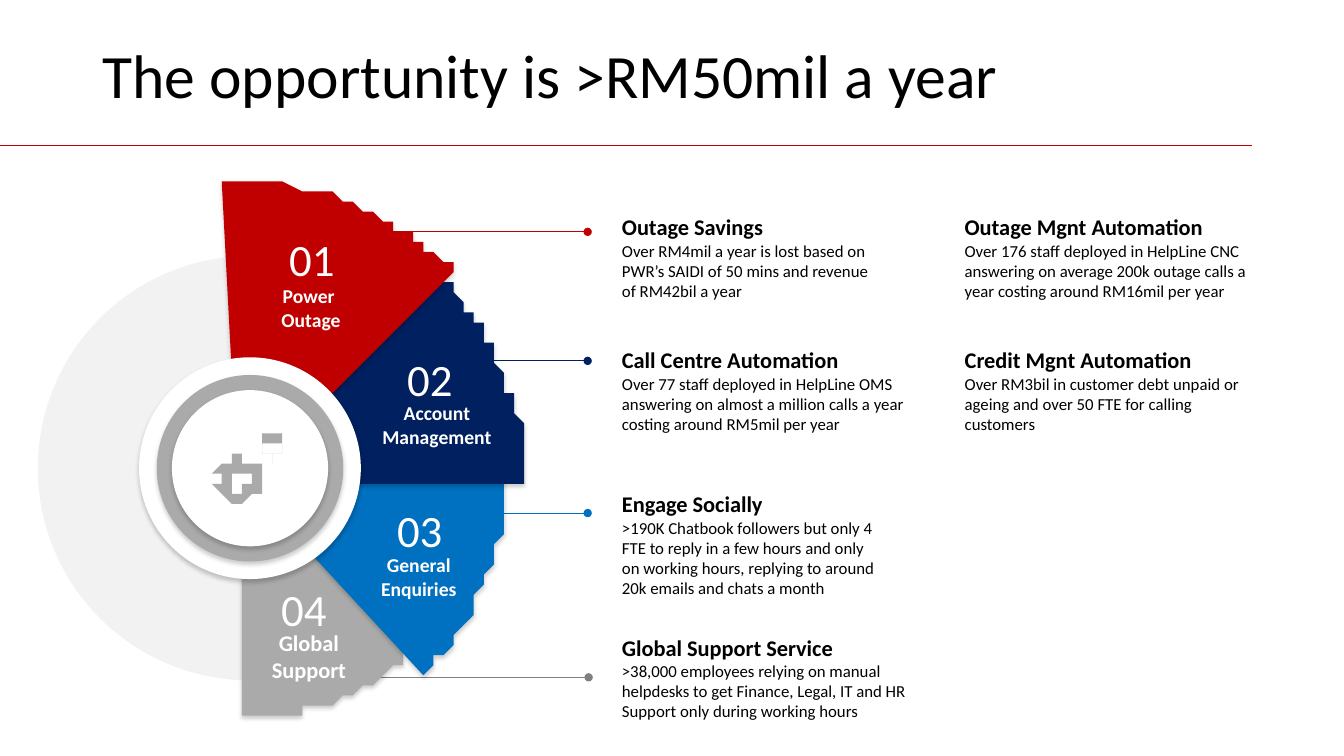
from dataclasses import dataclass
from math import cos, pi, sin

from lxml.etree import SubElement
from pptx import Presentation
from pptx.dml.color import RGBColor
from pptx.enum.shapes import MSO_CONNECTOR as Link, MSO_SHAPE as Shape
from pptx.enum.text import MSO_ANCHOR as Anchor, MSO_AUTO_SIZE as Auto, PP_ALIGN as Align
from pptx.oxml.ns import qn
from pptx.util import Emu, Inches, Pt

Point = tuple[float, float]
Box = tuple[float, float, float, float]

# All lengths count cells of a square grid: 133.33 columns by 75 rows.
CELL = Inches(0.1)
COLS, ROWS = 133.33, 75
FONT = "Calibri"
RED, NAVY, BLUE, GREY = "C00000", "002060", "0070C0", "AAAAAA"
WHITE, BLACK, PALE = "FFFFFF", "000000", "F2F2F2"
HUB = (24.8, 46.45)
LABEL = 11.3


@dataclass
class Wedge:
    """A fan blade; its rim bends from the last corner back to the first."""
    color: str
    corners: list[Point]
    bend: Point
    lead: tuple[float, float, float]
    tint: str
    num: str
    num_at: Point
    name: str
    name_at: Point
    size: int = 14


@dataclass
class Note:
    box: Box
    head: str
    body: str


WEDGES = [
    Wedge(GREY, [(40.5, 65.2), (38.6, 59), (33.5, 55.1), (29.8, 54.1), (24.4, 55.5), (24.4, 71.1)],
          (33.4, 71.6), (35.9, 58.4, 67.2), "808080",
          "04", (24.5, 57.7), "Global\nSupport", (25, 62.4), 16),
    Wedge(BLUE, [(41.8, 66.8), (29.8, 54.2), (34, 48), (50.5, 46.6), (50.4, 48)],
          (50, 59.5), (46.6, 58.3, 50.9), BLUE,
          "03", (36, 49.9), "General\nEnquiries", (35.9, 54.9)),
    Wedge(NAVY, [(52.1, 48), (34, 48), (31.1, 40), (42.7, 26.7), (43.8, 27.6)],
          (52.1, 35.4), (47.2, 58.3, 35.8), NAVY,
          "02", (37, 34.9), "Account Management", (37.7, 39.8)),
    Wedge(RED, [(22.4, 17.9), (22.8, 37.4), (31.6, 40.2), (44.7, 26.6)],
          (36, 17.5), (30.2, 58.3, 23), RED,
          "01", (25.3, 23), "Power \nOutage", (25.2, 28.2)),
]

LEFT, RIGHT = 61.7, 95.7
NOTES = [
    Note((LEFT, 21.1, 25.1, 8.8), "Outage Savings",
         "Over RM4mil a year is lost based on PWR’s SAIDI of 50 mins and revenue of RM42bil a year"),
    Note((RIGHT, 21.1, 28.4, 8.8), "Outage Mgnt Automation",
         "Over 176 staff deployed in HelpLine CNC answering on average 200k outage calls a year "
         "costing around RM16mil per year"),
    Note((LEFT, 34.3, 28.4, 8.8), "Call Centre Automation",
         "Over 77 staff deployed in HelpLine OMS answering on almost a million calls a year "
         "costing around RM5mil per year"),
    Note((RIGHT, 34.3, 29.9, 8.8), "Credit Mgnt Automation",
         "Over RM3bil in customer debt unpaid or ageing and over 50 FTE for calling customers"),
    Note((LEFT, 48.6, 25.1, 10.8), "Engage Socially",
         ">190K Chatbook followers but only 4 FTE to reply in a few hours and only on working hours, "
         "replying to around 20k emails and chats a month"),
    Note((LEFT, 62.8, 28.4, 8.8), "Global Support Service",
         ">38,000 employees relying on manual helpdesks to get Finance, Legal, IT and HR Support "
         "only during working hours"),
]


def grid(cells: float) -> Emu:
    return Emu(round(cells * CELL))


def rgb(color: str) -> RGBColor:
    return RGBColor.from_string(color)


def paint(shape, color: str, shade: bool = False) -> None:
    """Fill without outline, with a soft drop shadow if asked."""
    shape.fill.solid()
    shape.fill.fore_color.rgb = rgb(color)
    shape.line.fill.background()
    shape.shadow.inherit = False
    if shade:
        fx = shape._element.spPr.find(qn("a:effectLst"))
        drop = SubElement(fx, qn("a:outerShdw"), blurRad=str(Pt(3)), dist=str(Pt(2)),
                          dir="5400000", algn="t", rotWithShape="0")
        tone = SubElement(drop, qn("a:srgbClr"), val=BLACK)
        SubElement(tone, qn("a:alpha"), val="20000")


def disc(slide, mid: Point, size: float, color: str, shade: bool = True) -> None:
    x, y = mid
    shape = slide.shapes.add_shape(Shape.OVAL, grid(x - size / 2), grid(y - size / 2),
                                   grid(size), grid(size))
    paint(shape, color, shade)


def outline(slide, rings: list[list[Point]], color: str, shade: bool = False) -> None:
    """Draw one shape of closed rings; later rings cut holes."""
    pen = slide.shapes.build_freeform(*rings[0][0], scale=CELL)
    pen.add_line_segments(rings[0][1:])
    for ring in rings[1:]:
        pen.move_to(*ring[0])
        pen.add_line_segments(ring[1:])
    paint(pen.convert_to_shape(), color, shade)


def rim(start: Point, bend: Point, end: Point, steps: int = 32) -> list[Point]:
    """Points on the cubic curve whose first handle lies on its start."""
    def mix(t: float, a: float, b: float, c: float) -> float:
        u = 1 - t
        return a * (u ** 3 + 3 * u * u * t) + b * 3 * u * t * t + c * t ** 3
    return [tuple(mix(i / steps, *axis) for axis in zip(start, bend, end))
            for i in range(1, steps + 1)]


def gear(slide, mid: Point, size: float) -> None:
    def polar(share: float, deg: float) -> Point:
        turn = deg * pi / 180
        return mid[0] + size * share * sin(turn), mid[1] - size * share * cos(turn)
    tooth = [(0.82, -20), (1, -15), (1, 15), (0.82, 20)]
    teeth = [polar(share, 60 * k + deg) for k in range(6) for share, deg in tooth]
    hole = [polar(0.4, -10 * k) for k in range(37)]
    outline(slide, [teeth + teeth[:1], hole], GREY)


def rule(slide, x1: float, x2: float, y: float, color: str, dots: bool = False) -> None:
    line = slide.shapes.add_connector(Link.STRAIGHT, grid(x1), grid(y), grid(x2), grid(y))
    line.line.color.rgb = rgb(color)
    line.line.width = Pt(0.5)
    if dots:
        for end in ("headEnd", "tailEnd"):
            SubElement(line.line._get_or_add_ln(), qn(f"a:{end}"), type="oval")
    SubElement(line._element.spPr, qn("a:effectLst"))


def write(slide, box: Box, text: str, sizes: list[int], color: str, bolds: list[bool],
          align: Align = Align.LEFT, tight: bool = True):
    """Add text; sizes and bolds go by paragraph, the last one repeating."""
    frame = slide.shapes.add_textbox(*map(grid, box)).text_frame
    frame.word_wrap = True
    if tight:
        frame.margin_left = frame.margin_right = frame.margin_top = frame.margin_bottom = 0
        frame.auto_size = Auto.SHAPE_TO_FIT_TEXT
    frame.text = text
    for i, para in enumerate(frame.paragraphs):
        para.alignment = align
        font = para.runs[0].font
        font.name = FONT
        font.size = Pt(sizes[min(i, len(sizes) - 1)])
        font.bold = bolds[min(i, len(bolds) - 1)]
        font.color.rgb = rgb(color)
    return frame


def main() -> None:
    deck = Presentation()
    deck.slide_width, deck.slide_height = grid(COLS), grid(ROWS)
    slide = deck.slides.add_slide(deck.slide_layouts[6])

    title = write(slide, (9.2, 4, 115, 14.5), "The opportunity is >RM50mil a year",
                  [44], BLACK, [False], tight=False)
    title.paragraphs[0].line_spacing = 0.9
    rule(slide, 0, 124.2, 14.4, RED)

    disc(slide, HUB, 42.1, PALE, shade=False)
    for wedge in WEDGES:
        rule(slide, *wedge.lead, wedge.tint, dots=True)
    for wedge in WEDGES:
        edge = rim(wedge.corners[-1], wedge.bend, wedge.corners[0])
        outline(slide, [wedge.corners + edge], wedge.color, shade=True)
    for size, color in ((22, WHITE), (18.5, GREY), (15.5, WHITE)):
        disc(slide, HUB, size, color)
    gear(slide, (23.75, 47.55), 2.63)
    gear(slide, (27, 44.3), 1.52)

    for wedge in WEDGES:
        write(slide, (*wedge.num_at, LABEL, 5.6), wedge.num, [32], WHITE, [False], Align.CENTER)
        write(slide, (*wedge.name_at, LABEL, 4.7), wedge.name, [wedge.size], WHITE, [True],
              Align.CENTER)
    for note in NOTES:
        frame = write(slide, note.box, f"{note.head}\n{note.body}", [16, 12], BLACK, [True, False])
        frame.vertical_anchor = Anchor.MIDDLE

    deck.save("out.pptx")


if __name__ == "__main__":
    main()
